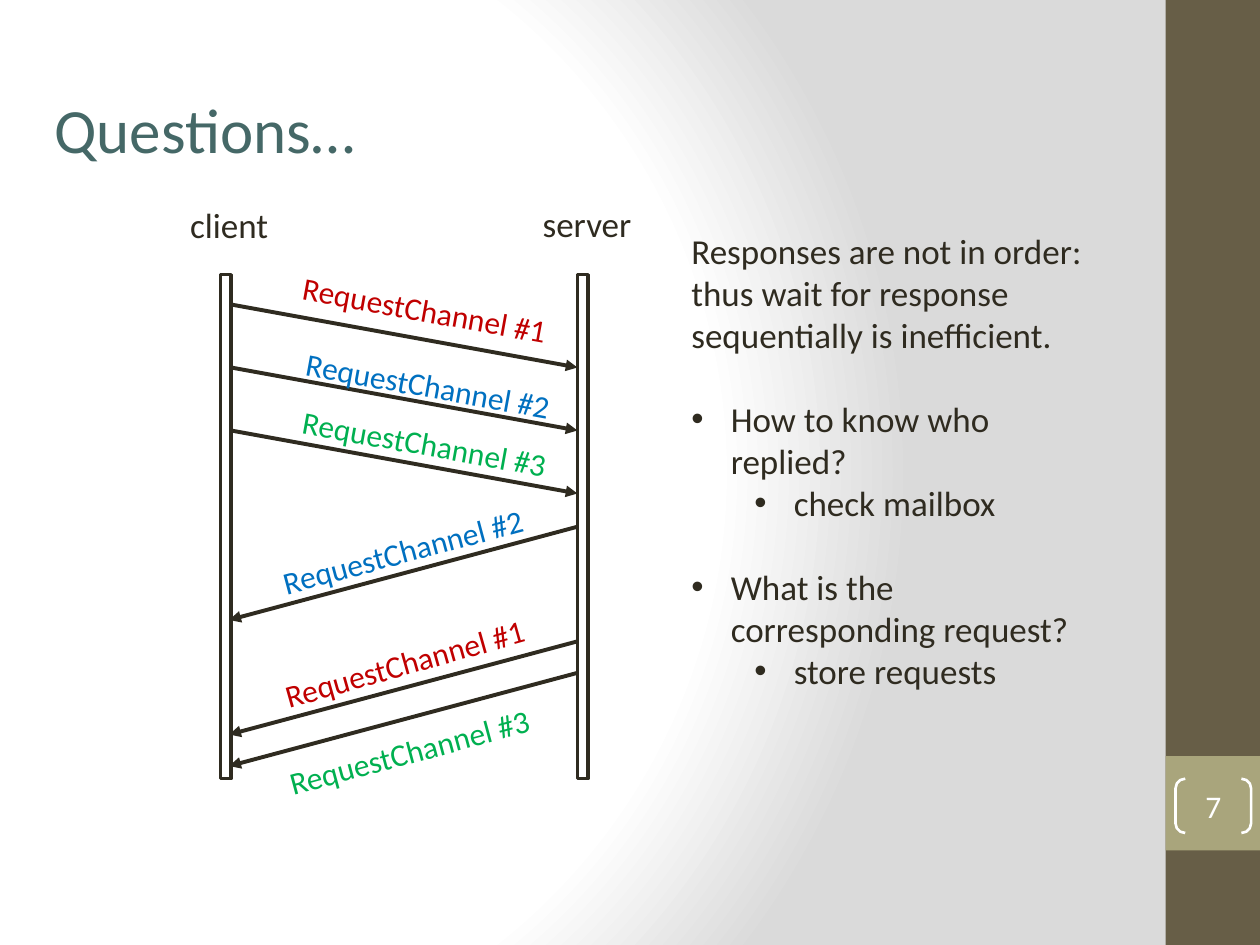
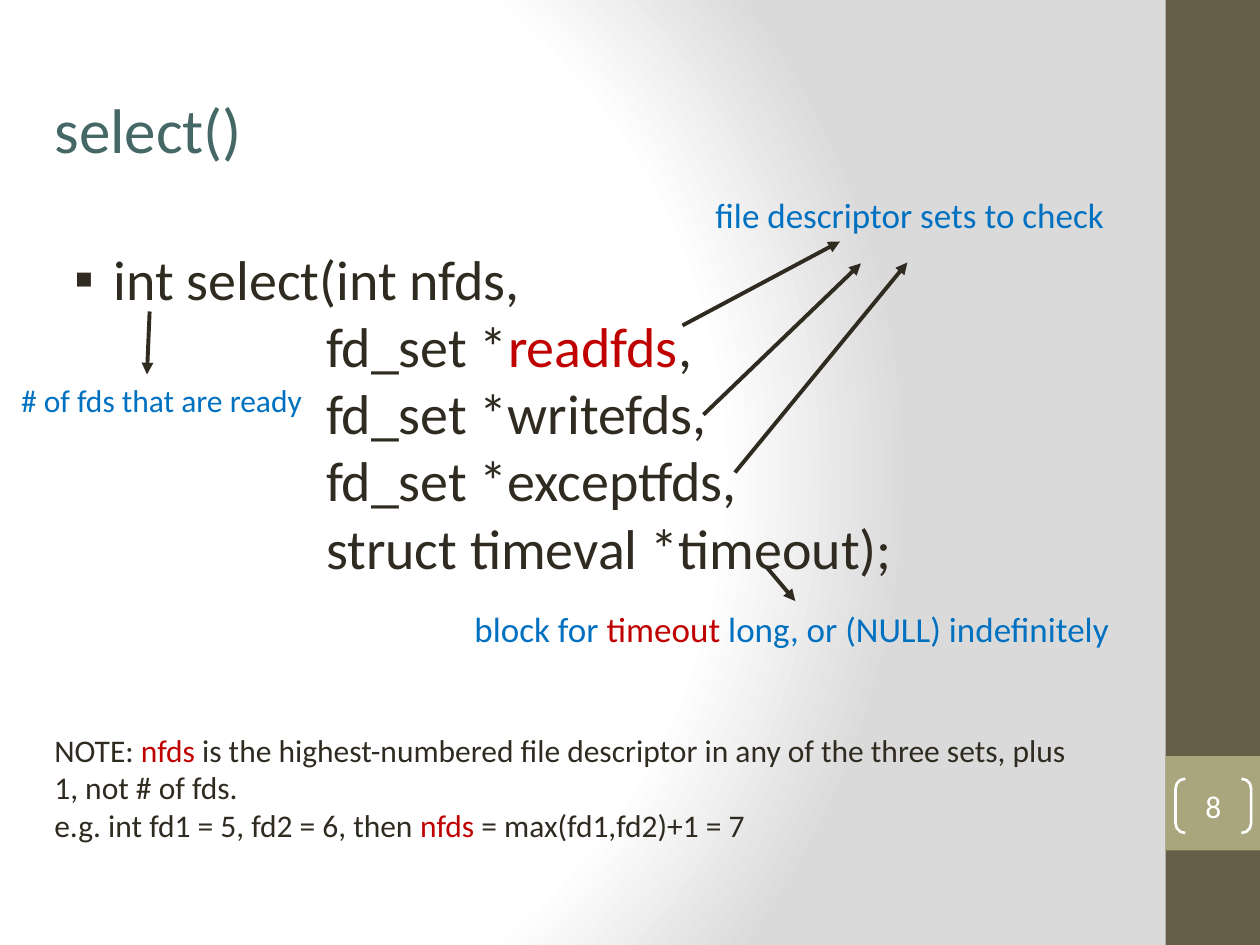
import pptx
import pptx.util
import pptx.dml.color
import pptx.enum.shapes
import pptx.enum.text
import pptx.oxml
import pptx.oxml.ns
from lxml import etree

Pt = pptx.util.Pt
RGB = pptx.dml.color.RGBColor.from_string
SHAPES = pptx.enum.shapes.MSO_SHAPE
qn = pptx.oxml.ns.qn
FONT = "Calibri"
COLOURS = {
    "ink": "2F2B20", "title": "456867", "band": "675E47", "badge": "A9A57C",
    "white": "FFFFFF", "grey": "DADADA",
    "red": "C00000", "blue": "0070C0", "green": "00B050",
}


def add_text(page, place, size, paragraphs, wrap=False, angle=0):
    box = page.shapes.add_textbox(*[Pt(value) for value in place])
    box.rotation = angle
    frame = box.text_frame
    frame.word_wrap = wrap
    frame.auto_size = pptx.enum.text.MSO_AUTO_SIZE.SHAPE_TO_FIT_TEXT
    for index, (runs, indent, bullet, gap) in enumerate(paragraphs):
        para = frame.paragraphs[0] if index == 0 else frame.add_paragraph()
        para.space_before = Pt(gap)
        properties = para._p.get_or_add_pPr()
        properties.set("marL", str(Pt(indent)))
        properties.set("indent", str(Pt(-22.5 if bullet else 0)))
        if bullet:
            etree.SubElement(properties, qn("a:buFont")).set("typeface", "Arial")
            etree.SubElement(properties, qn("a:buChar")).set("char", bullet)
        for text, colour in runs:
            span = para.add_run()
            span.text = text
            span.font.name = FONT
            span.font.size = Pt(size)
            span.font.color.rgb = RGB(COLOURS[colour])


def add_arrow(page, start, end):
    arrow = page.shapes.add_connector(
        pptx.enum.shapes.MSO_CONNECTOR.STRAIGHT, *[Pt(value) for value in start + end])
    arrow.line.color.rgb = RGB(COLOURS["ink"])
    arrow.line.width = Pt(2.25)
    etree.SubElement(arrow.line._get_or_add_ln(), qn("a:tailEnd")).set("type", "triangle")
    etree.SubElement(arrow._element.spPr, qn("a:effectLst"))


deck = pptx.Presentation()
deck.slide_width, deck.slide_height = Pt(720), Pt(540)

master = deck.slide_master
master.background.fill.gradient()
plain_gradient = master.element.xpath(".//p:bgPr/a:gradFill")[0]
stops = "".join(
    f'<a:gs pos="{position}"><a:srgbClr val="{COLOURS[colour]}"/></a:gs>'
    for position, colour in ((0, "white"), (75000, "white"), (100000, "grey")))
plain_gradient.getparent().replace(plain_gradient, pptx.oxml.parse_xml(
    f'<a:gradFill {pptx.oxml.ns.nsdecls("a")} rotWithShape="1"><a:gsLst>{stops}</a:gsLst>'
    '<a:path path="circle"><a:fillToRect l="20000" t="50000" r="100000" b="50000"/></a:path>'
    '</a:gradFill>'))

pages = []
for number, title in ((7, "Questions…"), (8, "select()")):
    page = deck.slides.add_slide(deck.slide_layouts[6])
    pages.append(page)
    for top, height, colour in ((0, 540, "band"), (432, 54, "badge")):
        band = page.shapes.add_shape(SHAPES.RECTANGLE, Pt(666), Pt(top), Pt(54), Pt(height))
        band.shadow.inherit = False
        band.fill.solid()
        band.fill.fore_color.rgb = RGB(COLOURS[colour])
        band.line.fill.background()
    bracket = page.shapes.add_shape(SHAPES.DOUBLE_BRACKET, Pt(671.75), Pt(445), Pt(43.2), Pt(31))
    bracket.adjustments[0] = 0.179
    bracket.shadow.inherit = False
    bracket.fill.background()
    bracket.line.color.rgb = RGB(COLOURS["white"])
    bracket.line.width = Pt(1.5)
    frame = bracket.text_frame
    frame.margin_left = frame.margin_right = frame.margin_top = frame.margin_bottom = 0
    frame.vertical_anchor = pptx.enum.text.MSO_ANCHOR.MIDDLE
    para = frame.paragraphs[0]
    para.alignment = pptx.enum.text.PP_ALIGN.CENTER
    span = para.add_run()
    span.text = str(number)
    span.font.name = FONT
    span.font.size = Pt(18)
    span.font.color.rgb = RGB(COLOURS["white"])
    add_text(page, (24, 48, 606, 51), 36, [([(title, "title")], 0, None, 0)], wrap=True)

questions, select = pages

for name, bar_left, label_place in (
        ("client", 126, (101.5, 113, 60, 31.5)),
        ("server", 330, (303, 112, 66.5, 31.5))):
    bar = questions.shapes.add_shape(SHAPES.RECTANGLE, Pt(bar_left), Pt(157), Pt(6), Pt(288))
    bar.shadow.inherit = False
    bar.fill.background()
    bar.line.color.rgb = RGB(COLOURS["ink"])
    bar.line.width = Pt(2)
    add_text(questions, label_place, 20, [([(name, "ink")], 0, None, 0)])

for row in range(3):
    add_arrow(questions, (132, 174 + 36 * row), (330, 210 + 36 * row))
for top in (301, 366.5, 384.5):
    add_arrow(questions, (330, top), (131, top + 53.25))

channel_colours = {1: "red", 2: "blue", 3: "green"}
for channel, left, top, angle in (
        (1, 165, 162.75, 10.4), (2, 167, 206, 10.4), (3, 165, 239, 10.3),
        (2, 152.5, 300.25, 345), (1, 153.5, 364.25, 344.2), (3, 156.25, 414.75, 344.9)):
    label = [(f"RequestChannel #{channel}", channel_colours[channel])]
    add_text(questions, (left, top, 157, 29), 18, [(label, 0, None, 0)], angle=angle)

add_text(questions, (388, 127.5, 246, 273.5), 20, [
    ([("Responses are not in order: thus wait for response sequentially is inefficient.", "ink")],
     0, None, 0),
    ([("How to know who replied?", "ink")], 22.5, "•", 24),
    ([("check mailbox", "ink")], 58.5, "•", 0),
    ([("What is the corresponding request?", "ink")], 22.5, "•", 24),
    ([("store requests", "ink")], 58.5, "•", 0),
], wrap=True)

add_text(select, (35.25, 136, 576, 201), 32, [
    ([("int select(int nfds,", "ink")], 22.5, "▪", 0),
    ([("fd_set *", "ink"), ("readfds", "red"), (",", "ink")], 144, None, 0),
    ([("fd_set *writefds,", "ink")], 144, None, 0),
    ([("fd_set *exceptfds,", "ink")], 144, None, 0),
    ([("struct timeval *timeout);", "ink")], 144, None, 0),
], wrap=True)

for place, size, runs in (
        ((401.75, 107.25, 239, 31.5), 20, [("file descriptor sets to check", "blue")]),
        ((264, 343.5, 381, 31.5), 20, [
            ("block for ", "blue"), ("timeout", "red"),
            (" long, or (NULL) indefinitely", "blue")]),
        ((5, 214, 177, 29), 18, [("# of fds that are ready", "blue")])):
    add_text(select, place, size, [(runs, 0, None, 0)])

add_text(select, (24, 414, 606, 72.75), 18, [
    ([("NOTE: ", "ink"), ("nfds", "red"),
      (" is the highest-numbered file descriptor in any of the three sets, plus 1, not # of fds.",
       "ink")], 0, None, 0),
    ([("e.g. int fd1 = 5, fd2 = 6, then ", "ink"), ("nfds", "red"),
      (" = max(fd1,fd2)+1 = 7", "ink")], 0, None, 0),
], wrap=True)

for start, end in (
        ((390, 186), (480, 138)), ((402, 237), (492, 150.5)), ((420, 270), (518.5, 150)),
        ((438, 324), (454.5, 343.5)), ((85.5, 178), (84, 214))):
    add_arrow(select, start, end)

deck.save("out.pptx")
